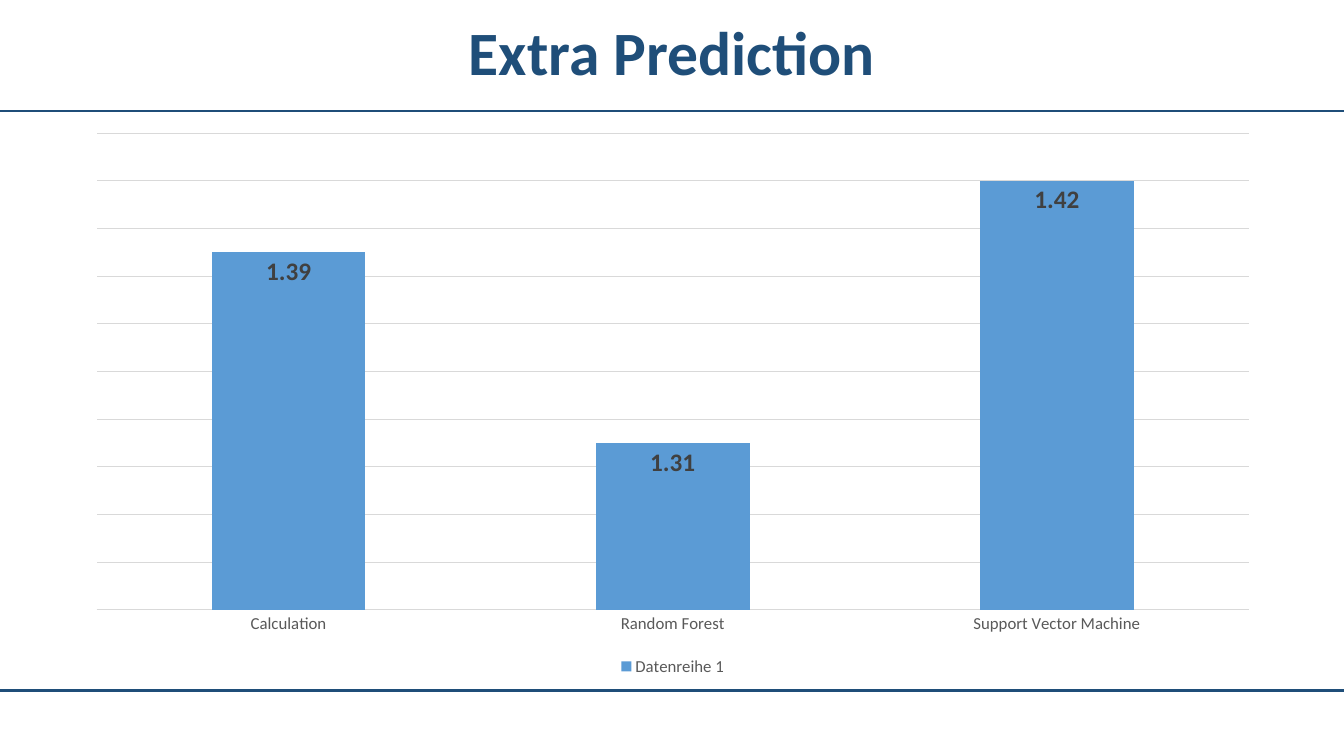
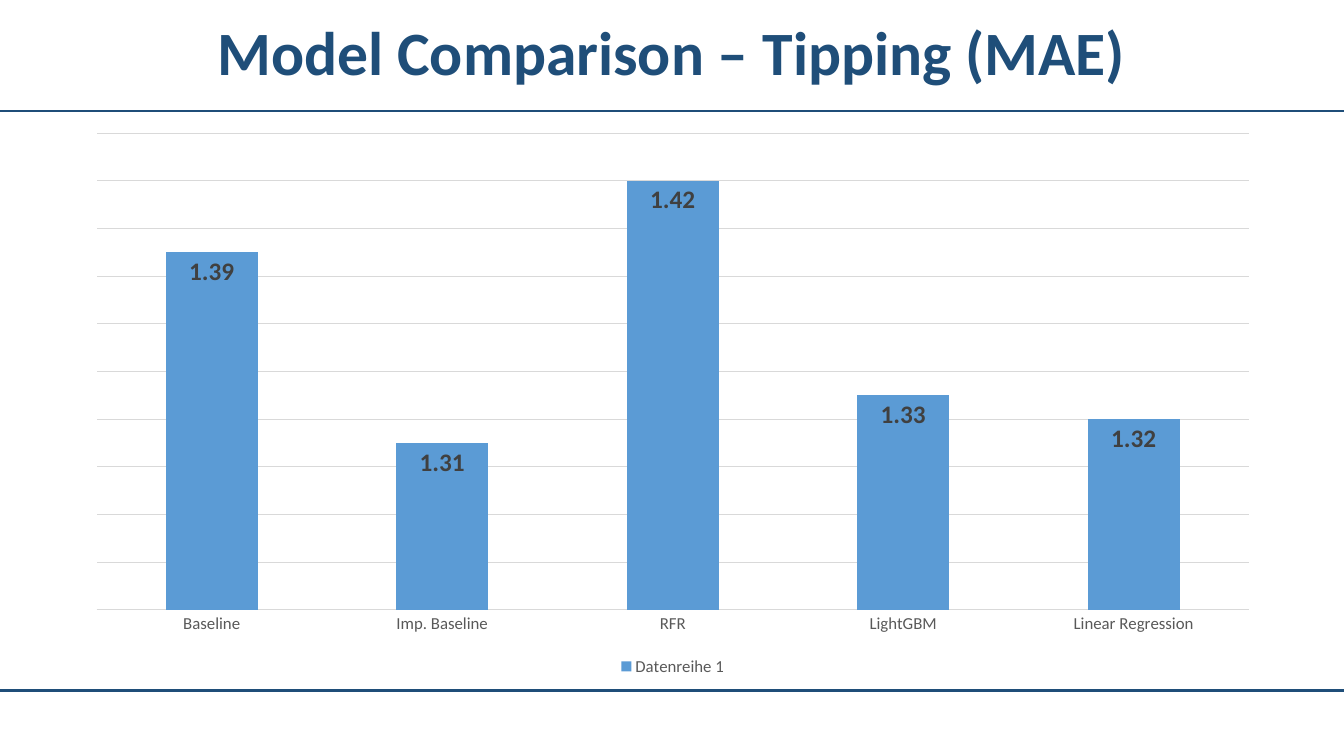
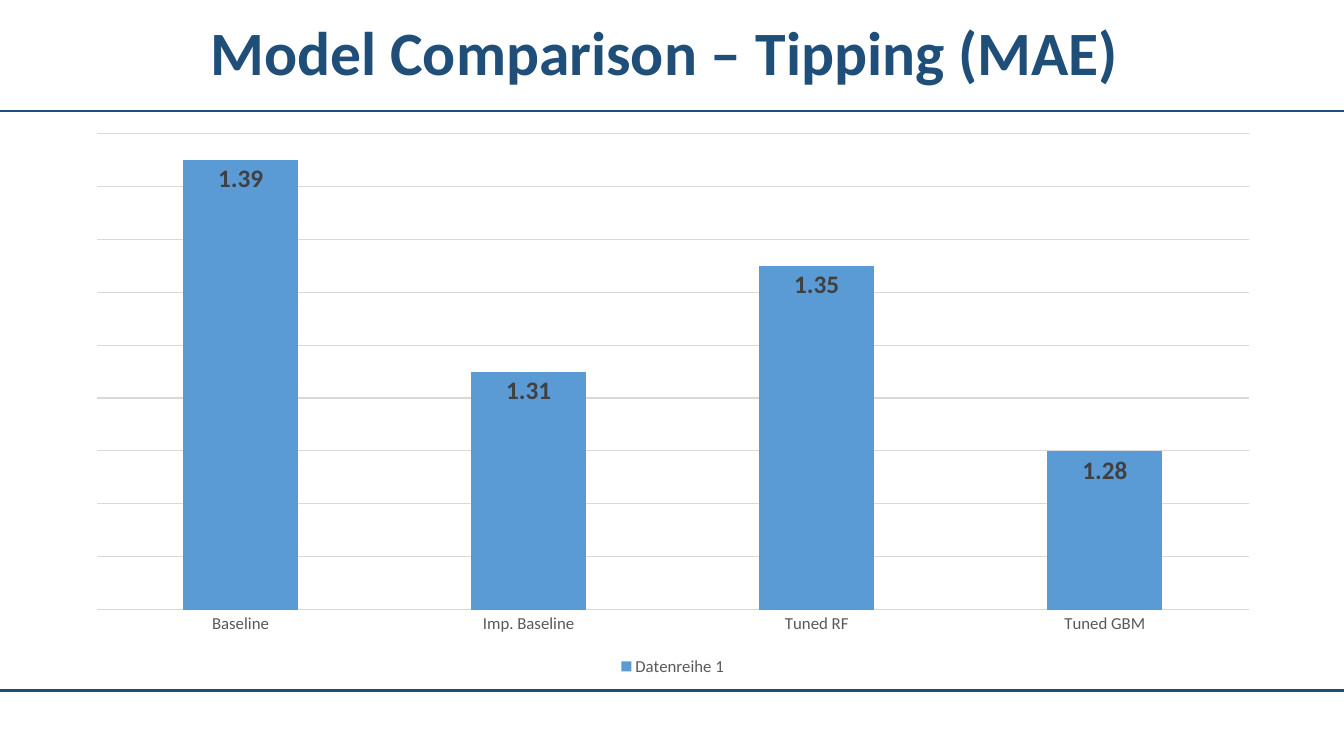
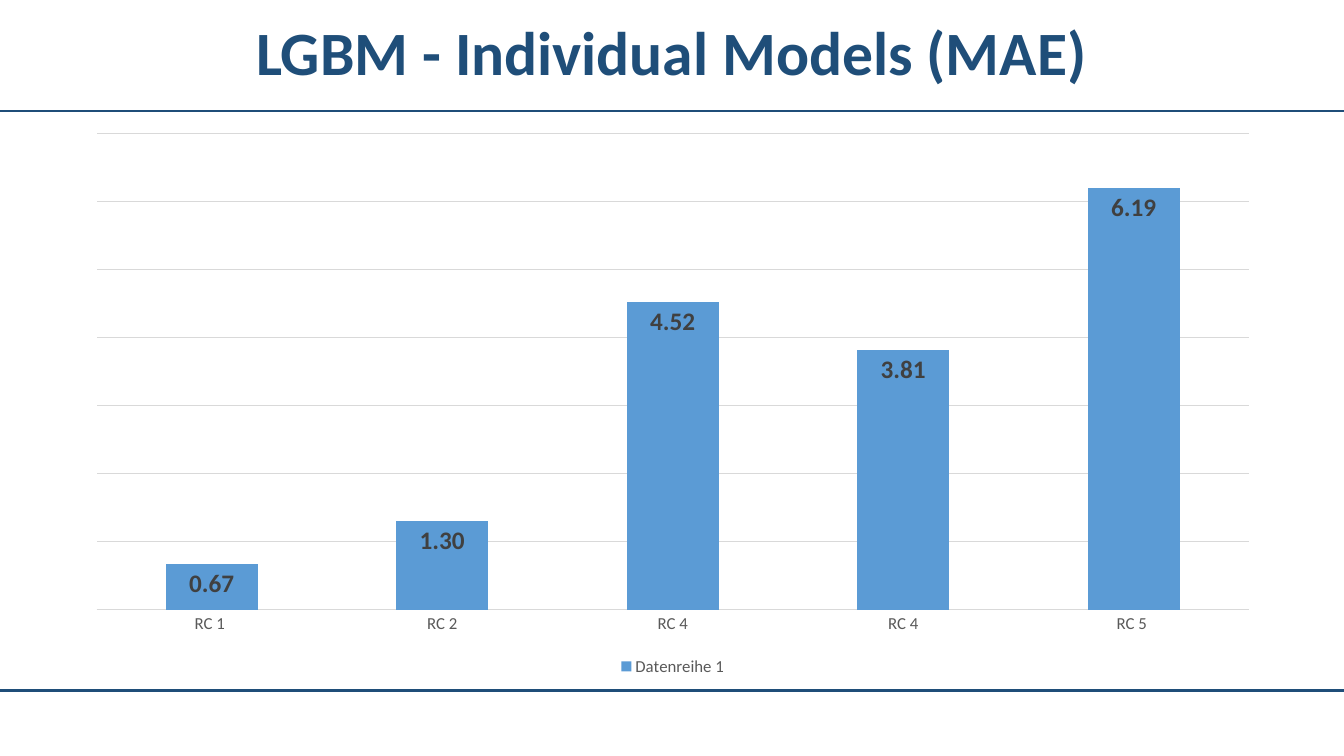
from dataclasses import dataclass

from lxml import etree
from pptx import Presentation
from pptx import util as u
from pptx.chart.data import CategoryChartData
from pptx.dml.color import RGBColor
from pptx.enum import chart as charts, shapes, text
from pptx.oxml import ns
from pptx.slide import Slide


@dataclass(frozen=True)
class Theme:
    font: str = "Calibri"
    navy: str = "1F4E79"
    bar: str = "5B9BD5"
    grid: str = "D9D9D9"
    axis_text: str = "595959"
    value_text: str = "404040"
    black: str = "000000"
    title_size: float = 44
    value_size: float = 18
    axis_size: float = 12
    chart_size: float = 10
    rule_width: float = 1.5
    grid_width: float = 0.75


@dataclass(frozen=True)
class Scale:
    low: float
    high: float
    step: float


@dataclass(frozen=True)
class ChartPage:
    title: str
    scale: Scale
    bars: tuple[tuple[str, float], ...]


THEME = Theme()
PAGE_WIDTH, PAGE_HEIGHT = 960, 540
TITLE_HEIGHT = 79.2
RULE_TOPS = (TITLE_HEIGHT, 493.2)
CHART_FRAME = (51.8, 87.1, 857.5, 398.9)
SERIES_NAME = "Datenreihe 1"

PAGES = (
    ChartPage("Extra Prediction", Scale(1.24, 1.44, 0.02), (
        ("Calculation", 1.39),
        ("Random Forest", 1.31),
        ("Support Vector Machine", 1.42),
    )),
    ChartPage("Model Comparison – Tipping (MAE)", Scale(1.24, 1.44, 0.02), (
        ("Baseline", 1.39),
        ("Imp. Baseline", 1.31),
        ("RFR", 1.42),
        ("LightGBM", 1.33),
        ("Linear Regression", 1.32),
    )),
    ChartPage("Model Comparison – Tipping (MAE) ", Scale(1.22, 1.40, 0.02), (
        ("Baseline", 1.39),
        ("Imp. Baseline", 1.31),
        ("Tuned RF", 1.35),
        ("Tuned GBM", 1.28),
    )),
    ChartPage("LGBM - Individual Models (MAE)", Scale(0, 7, 1), (
        ("RC 1 ", 0.67),
        ("RC 2", 1.30),
        ("RC 4", 4.52),
        ("RC 4", 3.81),
        ("RC 5 ", 6.19),
    )),
)


def style_font(font, size: float, color: str, bold: bool = False) -> None:
    font.name = THEME.font
    font.size = u.Pt(size)
    font.bold = bold
    font.color.rgb = RGBColor.from_string(color)


def style_line(line, width: float, color: str) -> None:
    line.width = u.Pt(width)
    line.fill.solid()
    line.fill.fore_color.rgb = RGBColor.from_string(color)


def add_rule(slide: Slide, top: float) -> None:
    """Draw a line across the full slide width."""
    rule = slide.shapes.add_connector(
        shapes.MSO_CONNECTOR.STRAIGHT, 0, u.Pt(top), u.Pt(PAGE_WIDTH), u.Pt(top))
    style_line(rule.line, THEME.rule_width, THEME.navy)
    etree.SubElement(rule.element.spPr, ns.qn("a:effectLst"))


def add_title(slide: Slide, title: str) -> None:
    box = slide.shapes.add_textbox(0, 0, u.Pt(PAGE_WIDTH), u.Pt(TITLE_HEIGHT))
    frame = box.text_frame
    frame.word_wrap = True
    frame.vertical_anchor = text.MSO_ANCHOR.MIDDLE
    para = frame.paragraphs[0]
    para.text = title
    para.alignment = text.PP_ALIGN.CENTER
    para.line_spacing = 0.9
    style_font(para.font, THEME.title_size, THEME.navy, bold=True)


def add_column_chart(slide: Slide, page: ChartPage) -> None:
    names, values = zip(*page.bars)
    data = CategoryChartData(number_format="0.00")
    data.categories = names
    data.add_series(SERIES_NAME, values)
    chart = slide.shapes.add_chart(
        charts.XL_CHART_TYPE.COLUMN_STACKED, *map(u.Pt, CHART_FRAME), data).chart
    chart.has_title = False
    style_font(chart.font, THEME.chart_size, THEME.black)

    chart.has_legend = True
    chart.legend.position = charts.XL_LEGEND_POSITION.BOTTOM
    chart.legend.include_in_layout = False
    style_font(chart.legend.font, THEME.axis_size, THEME.axis_text)

    category_axis = chart.category_axis
    category_axis.major_tick_mark = charts.XL_TICK_MARK.NONE
    category_axis.minor_tick_mark = charts.XL_TICK_MARK.NONE
    style_font(category_axis.tick_labels.font, THEME.axis_size, THEME.axis_text)
    style_line(category_axis.format.line, THEME.grid_width, THEME.grid)

    value_axis = chart.value_axis
    value_axis.visible = False
    value_axis.minimum_scale = page.scale.low
    value_axis.maximum_scale = page.scale.high
    value_axis.major_unit = page.scale.step
    value_axis.has_major_gridlines = True
    style_line(value_axis.major_gridlines.format.line, THEME.grid_width, THEME.grid)

    plot = chart.plots[0]
    plot.vary_by_categories = False
    plot.gap_width = 150
    plot.overlap = 100
    series = plot.series[0]
    series.format.fill.solid()
    series.format.fill.fore_color.rgb = RGBColor.from_string(THEME.bar)

    labels = series.data_labels
    labels.show_value = True
    labels.position = charts.XL_LABEL_POSITION.INSIDE_END
    labels.number_format = "0.00"
    labels.number_format_is_linked = False
    style_font(labels.font, THEME.value_size, THEME.value_text, bold=True)


def main() -> None:
    deck = Presentation()
    deck.slide_width = u.Pt(PAGE_WIDTH)
    deck.slide_height = u.Pt(PAGE_HEIGHT)
    blank = deck.slide_layouts[6]
    for page in PAGES:
        slide = deck.slides.add_slide(blank)
        for top in RULE_TOPS:
            add_rule(slide, top)
        add_title(slide, page.title)
        add_column_chart(slide, page)
    deck.save("out.pptx")


if __name__ == "__main__":
    main()
